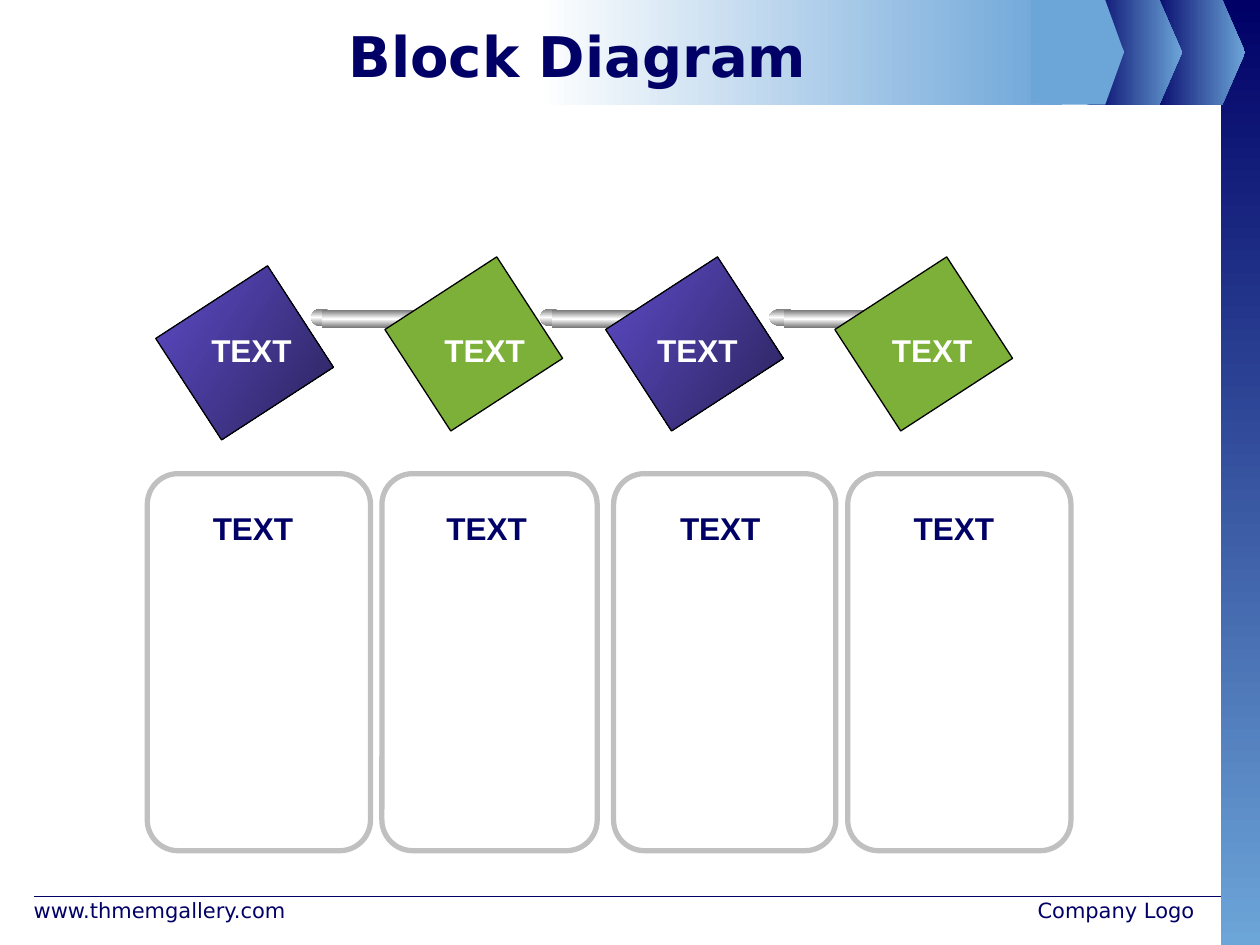
from copy import deepcopy
from dataclasses import dataclass

from lxml import etree
from pptx import Presentation
from pptx import util as u
from pptx.dml.color import RGBColor
from pptx.enum import shapes, text
from pptx.oxml.ns import qn

# Content
TITLE = "Block Diagram"
WEBSITE = "www.thmemgallery.com"
COMPANY = "Company Logo"
# heading, tile left, tile top, tile label left, panel left, panel width (cm)
BLOCKS = [
    ("TEXT", 3.71, 5.77, 4.01, 2.97, 4.5),
    ("TEXT", 8.33, 5.59, 8.71, 7.7, 4.34),
    ("TEXT", 12.78, 5.59, 13, 12.37, 4.48),
    ("TEXT", 17.4, 5.59, 17.73, 17.09, 4.5),
]
ROD_STRETCH = [1, 1, 1.3]
# kind, offset, top, width, height, outlined (cm)
ROD_PARTS = [
    ("OVAL", 0, 6.22, 0.43, 0.36, False),
    ("RECTANGLE", 0.23, 6.25, 2.08, 0.36, False),
    ("OVAL", 2.13, 6.25, 0.38, 0.33, True),
    ("OVAL", 2.34, 6.35, 0.1, 0.1, False),
]
# left, shoulder, tip, height (cm)
ARROWS = [(23.19, 24.64, 25.1, 2.11), (21.92, 23.37, 23.83, 2.11)]
COVERS = [(21.11, 22.28, 22.66, 2.11), (20.78, 22.17, 22.66, 2.08)]


@dataclass(frozen=True)
class Theme:
    navy: str = "000066"
    sky: str = "6CA5D8"
    white: str = "FFFFFF"
    black: str = "000000"
    green: str = "7DB038"
    panel: str = "C0C0C0"
    violet: tuple = ("5D4BC7", "2B235C")
    metal: tuple = ("767676", "FFFFFF", "767676")
    title_font: str = "DejaVu Sans"
    label_font: str = "Arial"
    title_size: int = 32
    label_size: int = 18
    footer_size: int = 12


THEME = Theme()
BRAND = (THEME.navy, THEME.sky)

prs = Presentation()
prs.slide_width, prs.slide_height = u.Cm(25.4), u.Cm(19.05)
slide = prs.slides.add_slide(prs.slide_layouts[5])


def paint(shape, fill=None, angle=0, line=None, weight=0.75, turns=True):
    """Fill with one colour or evenly spaced gradient colours; angle is clockwise."""
    shape.shadow.inherit = False
    if fill is None:
        shape.fill.background()
    elif isinstance(fill, str):
        shape.fill.solid()
        shape.fill.fore_color.rgb = RGBColor.from_string(fill)
    else:
        shape.fill.gradient()
        shape.fill.gradient_angle = -angle % 360
        gradient = shape._element.spPr.find(qn("a:gradFill"))
        gradient.set("rotWithShape", str(int(turns)))
        stops = gradient.find(qn("a:gsLst"))
        for _ in fill[2:]:
            stops.append(deepcopy(stops[0]))
        for i, (stop, color) in enumerate(zip(shape.fill.gradient_stops, fill)):
            stop.position = i / (len(fill) - 1)
            stop.color.rgb = RGBColor.from_string(color)
    if line:
        shape.line.color.rgb = RGBColor.from_string(line)
        shape.line.width = u.Pt(weight)
    else:
        shape.line.fill.background()


def add_block(kind, left, top, width, height, **style):
    block = slide.shapes.add_shape(
        shapes.MSO_SHAPE[kind], u.Cm(left), u.Cm(top), u.Cm(width), u.Cm(height))
    paint(block, **style)
    return block


def add_pointer(left, shoulder, tip, height, fill):
    outline = slide.shapes.build_freeform(u.Cm(left), u.Cm(height))
    corners = [(shoulder, height), (tip, height / 2), (shoulder, 0), (left, 0)]
    outline.add_line_segments([(u.Cm(x), u.Cm(y)) for x, y in corners], close=True)
    paint(outline.convert_to_shape(), fill)


def write(frame, words, font, size, color, bold=False, align=text.PP_ALIGN.LEFT):
    frame.text = words
    paragraph = frame.paragraphs[0]
    paragraph.alignment = align
    face = paragraph.runs[0].font
    face.name, face.size, face.bold = font, u.Pt(size), bold
    face.color.rgb = RGBColor.from_string(color)


def add_label(words, left, top, color):
    box = slide.shapes.add_textbox(u.Cm(left), u.Cm(top), u.Cm(2.13), u.Cm(1.02))
    box.text_frame.word_wrap = False
    box.text_frame.auto_size = text.MSO_AUTO_SIZE.SHAPE_TO_FIT_TEXT
    write(box.text_frame, words, THEME.label_font, THEME.label_size, color, True)


def add_footer(words, left, width, align):
    box = slide.shapes.add_textbox(u.Cm(left), u.Cm(17.96), u.Cm(width), u.Cm(0.89))
    box.text_frame.word_wrap = True
    write(box.text_frame, words, THEME.title_font, THEME.footer_size, THEME.navy,
          align=align)


# Footer rule, side bar and header band
rule = slide.shapes.add_connector(
    shapes.MSO_CONNECTOR.STRAIGHT, u.Cm(0.69), u.Cm(18.08), u.Cm(24.61), u.Cm(18.08))
rule.line.color.rgb = RGBColor.from_string(THEME.navy)
rule.line.width = u.Pt(0.75)
etree.SubElement(rule._element.spPr, qn("a:effectLst"))

add_block("RECTANGLE", 24.61, 0, 0.79, 19.05, fill=BRAND, angle=90)
for arrow in ARROWS:
    add_pointer(*arrow, BRAND)
add_pointer(*COVERS[0], THEME.sky)
add_block("RECTANGLE", 10.8, 0, 10.62, 2.11, fill=(THEME.white, THEME.sky))
add_pointer(*COVERS[1], THEME.sky)

# Footer texts
add_footer(WEBSITE, 0.43, 5.92, text.PP_ALIGN.LEFT)
add_footer(COMPANY, 16.28, 8.05, text.PP_ALIGN.RIGHT)

# Title, brought in front of the header band
title = slide.shapes.title
title.left, title.top, title.width, title.height = map(u.Cm, (1.27, 0.33, 20.75, 1.57))
title.text_frame.vertical_anchor = text.MSO_ANCHOR.MIDDLE
write(title.text_frame, TITLE, THEME.title_font, THEME.title_size, THEME.navy, True,
      text.PP_ALIGN.CENTER)
slide.shapes._spTree.append(title._element)

# Panels
for _, _, _, _, left, width in reversed(BLOCKS):
    panel = add_block("ROUNDED_RECTANGLE", left, 9.55, width, 7.6,
                      line=THEME.panel, weight=3)
    panel.adjustments[0] = 0.62 / width

# Tiles, each followed by the rod that runs under the next tile
for i, (_, left, top, _, _, _) in enumerate(BLOCKS):
    tile = add_block("RECTANGLE", left, top, 2.44, 2.69,
                     fill=THEME.green if i % 2 else THEME.violet,
                     angle=33, line=THEME.black, turns=False)
    tile.rotation = 57
    for stretch in ROD_STRETCH[i:i + 1]:
        for kind, offset, rod_top, width, height, outlined in ROD_PARTS:
            add_block(kind, 6.27 + 4.62 * i + offset * stretch, rod_top,
                      width * stretch, height, fill=THEME.metal, angle=90,
                      line=THEME.white if outlined else None, weight=1)

# Labels on the tiles and in the panels
for heading, _, _, label_left, _, _ in BLOCKS:
    add_label(heading, label_left, 6.55, THEME.white)
for i, block in enumerate(BLOCKS):
    add_label(block[0], 4.04 + 4.71 * i, 10.13, THEME.navy)

prs.save("out.pptx")
